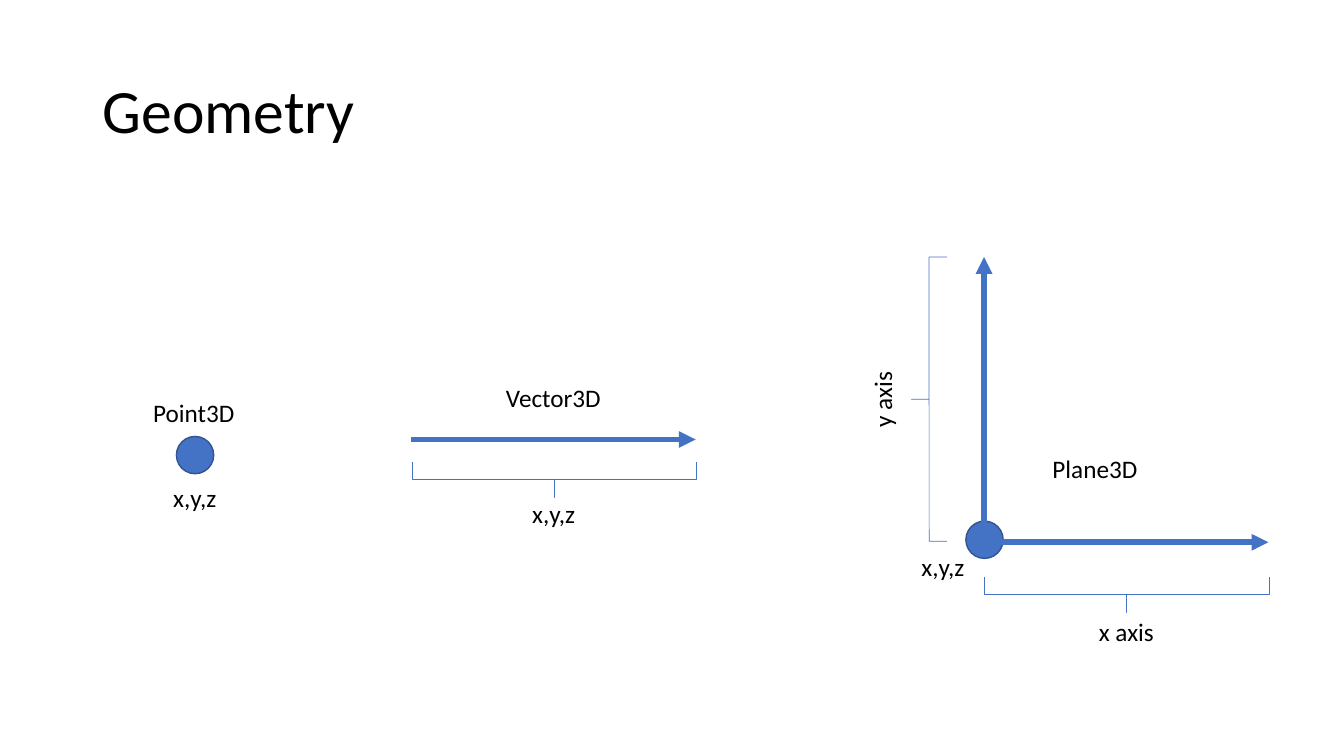
import pptx
import pptx.util
import pptx.dml.color
import pptx.enum.shapes
import pptx.enum.text
import pptx.oxml.ns
import lxml.etree

PX = 9144  # EMU per px, 100 px to the inch
KIND = pptx.enum.shapes.MSO_SHAPE
ANCHOR = pptx.enum.text.MSO_ANCHOR


def color(code):
    return pptx.dml.color.RGBColor.from_string(code)


def write(frame, text, size=18, ink="000000", font="Calibri", wrap=False,
          anchor=ANCHOR.TOP, space=1.0):
    frame.word_wrap = wrap
    frame.vertical_anchor = anchor
    para = frame.paragraphs[0]
    para.line_spacing = space
    run = para.add_run()
    run.text = text
    run.font.size = pptx.util.Pt(size)
    run.font.name = font
    run.font.color.rgb = color(ink)


class Sketch:
    blue = "4472C4"
    edge = "325491"

    def __init__(self, slide):
        self.shapes = slide.shapes

    def label(self, text, x, y, w, h=40, turn=0, **style):
        box = self.shapes.add_textbox(x * PX, y * PX, w * PX, h * PX)
        box.rotation = turn
        write(box.text_frame, text, **style)

    def shape(self, kind, x, y, w, h, line, width):
        item = self.shapes.add_shape(kind, x * PX, y * PX, w * PX, h * PX)
        item.shadow.inherit = False
        item.line.color.rgb = color(line)
        item.line.width = pptx.util.Pt(width)
        return item

    def dot(self, x, y, size=37):
        item = self.shape(KIND.OVAL, x, y, size, size, self.edge, 1)
        item.fill.solid()
        item.fill.fore_color.rgb = color(self.blue)

    def brace(self, x, y, turn=0, depth=35, span=282):
        item = self.shape(KIND.LEFT_BRACE, x, y, depth, span, self.blue, 0.5)
        item.fill.background()
        item.adjustments[0] = 0
        item.adjustments[1] = 0.5
        item.rotation = turn

    def arrow(self, x1, y1, x2, y2):
        item = self.shapes.add_connector(
            pptx.enum.shapes.MSO_CONNECTOR.STRAIGHT,
            x1 * PX, y1 * PX, x2 * PX, y2 * PX)
        item.line.color.rgb = color(self.blue)
        item.line.width = pptx.util.Pt(4)
        name = pptx.oxml.ns.qn
        head = lxml.etree.SubElement(item.line._get_or_add_ln(), name("a:tailEnd"))
        head.set("type", "triangle")
        lxml.etree.SubElement(item._element.spPr, name("a:effectLst"))


def main():
    deck = pptx.Presentation()
    deck.slide_width = pptx.util.Inches(13.33)
    deck.slide_height = pptx.util.Inches(7.5)
    draw = Sketch(deck.slides.add_slide(deck.slide_layouts[6]))

    # Title
    draw.label("Geometry", 92, 40, 1150, 145, size=44, wrap=True,
               anchor=ANCHOR.MIDDLE, space=0.9)

    # Point
    draw.dot(175, 433)
    draw.label("Point3D", 142, 389, 102)
    draw.label("x,y,z", 162, 474, 63)

    # Vector
    draw.arrow(408, 436, 690, 436)
    draw.label("Vector3D", 492, 374, 115)
    draw.brace(532, 335, turn=270)
    draw.label("x,y,z", 518, 489, 63)

    # Plane: origin and two axes
    draw.dot(958, 517)
    draw.arrow(976, 538, 1258, 538)
    draw.arrow(976, 533, 976, 255)
    draw.label("Plane3D", 1034, 445, 105)
    draw.brace(1100, 449, turn=270)
    draw.brace(904, 255)
    draw.label("x,y,z", 904, 542, 63)
    draw.label("x axis", 1080, 607, 75)
    draw.label("y axis", 837, 376, 76, turn=270)

    deck.save("out.pptx")


if __name__ == "__main__":
    main()
